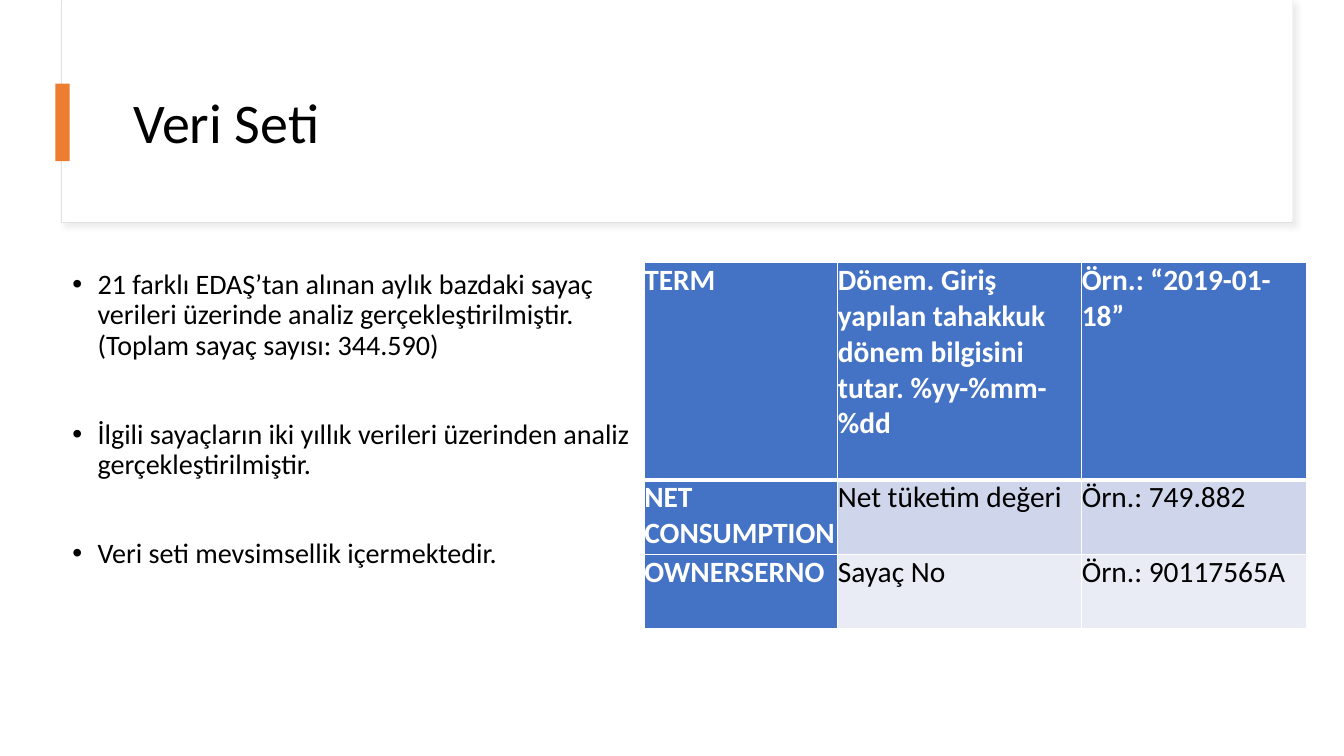
from dataclasses import dataclass

from lxml import etree
from pptx import Presentation, util as u
from pptx.dml.color import RGBColor
from pptx.enum import shapes, text
from pptx.oxml import ns


@dataclass(frozen=True)
class Theme:
    font: str = "Calibri"
    black: str = "000000"
    white: str = "FFFFFF"
    frame: str = "E1E1E1"
    shadow: str = "D9D9D9"
    accent: str = "ED7D31"
    blue: str = "4472C4"
    bands: tuple = ("CFD5EA", "E9EBF5")
    title_size: float = 40
    body_size: float = 20.1
    table_size: float = 21


@dataclass(frozen=True)
class Box:
    left: float
    top: float
    width: float
    height: float

    def lengths(self):
        return [u.Inches(side) for side in (self.left, self.top, self.width, self.height)]

    def inner(self, left, top, width, height):
        return Box(self.left + left, self.top + top, width, height)


THEME = Theme()
BULLETS = [
    "21 farklı EDAŞ’tan alınan aylık bazdaki sayaç verileri üzerinde analiz "
    "gerçekleştirilmiştir. (Toplam sayaç sayısı: 344.590)",
    "İlgili sayaçların iki yıllık verileri üzerinden analiz gerçekleştirilmiştir.",
    "Veri seti mevsimsellik içermektedir.",
]
ROWS = [
    ["TERM", "Dönem. Giriş yapılan tahakkuk dönem bilgisini tutar. %yy-%mm-%dd",
     "Örn.: “2019-01-18”"],
    ["NET\nCONSUMPTION", "Net tüketim değeri", "Örn.: 749.882"],
    ["OWNERSERNO", "Sayaç No", "Örn.: 90117565A"],
]
COLUMN_WIDTHS = [1.92, 2.42, 2.23]
ROW_HEIGHTS = [2.16, 0.74, 0.74]


def add_xml(parent, tag, **attributes):
    return etree.SubElement(parent, ns.qn(tag), attributes)


def style_text(para, size, color, bold=False):
    for span in para.runs:
        span.font.name = THEME.font
        span.font.size = u.Pt(size)
        span.font.bold = bold
        span.font.color.rgb = RGBColor.from_string(color)


def add_rectangle(slide, box, fill, line=None):
    rectangle = slide.shapes.add_shape(shapes.MSO_SHAPE.RECTANGLE, *box.lengths())
    rectangle.shadow.inherit = False
    rectangle.fill.solid()
    rectangle.fill.fore_color.rgb = RGBColor.from_string(fill)
    if line:
        rectangle.line.color.rgb = RGBColor.from_string(line)
        rectangle.line.width = u.Pt(0.75)
    else:
        rectangle.line.fill.background()
    return rectangle


def add_shadow(shape):
    effects = shape._element.spPr.find(ns.qn("a:effectLst"))
    outer = add_xml(effects, "a:outerShdw", blurRad=str(u.Pt(4)), dist=str(u.Pt(3)),
                    dir="2700000", algn="tl", rotWithShape="0")
    color = add_xml(outer, "a:srgbClr", val=THEME.shadow)
    add_xml(color, "a:alpha", val="50000")


def build_header(slide, box):
    add_shadow(add_rectangle(slide, box, THEME.white, THEME.frame))
    add_rectangle(slide, box.inner(0.01, 0, 12.2, 2.2), THEME.white)

    title = slide.shapes.title
    slide.shapes._spTree.append(title._element)
    title.left, title.top, title.width, title.height = box.inner(0.61, 0.6, 11.12, 1.29).lengths()
    frame = title.text_frame
    frame.text = "Veri Seti"
    frame.word_wrap = True
    frame.vertical_anchor = text.MSO_ANCHOR.MIDDLE
    para = frame.paragraphs[0]
    para.alignment = text.PP_ALIGN.LEFT
    para.line_spacing = 0.9
    style_text(para, THEME.title_size, THEME.black)

    add_rectangle(slide, box.inner(-0.06, 0.83, 0.14, 0.77), THEME.accent)


def build_bullets(slide, box):
    frame = slide.shapes.add_textbox(*box.lengths()).text_frame
    frame.word_wrap = True
    frame.text = "\n".join(BULLETS)
    for index, para in enumerate(frame.paragraphs):
        para.line_spacing = 0.9
        para.space_before = u.Pt(42 if index else 0)
        style_text(para, THEME.body_size, THEME.black)
        properties = para._p.get_or_add_pPr()
        properties.set("marL", str(u.Inches(0.25)))
        properties.set("indent", str(u.Inches(-0.25)))
        add_xml(properties, "a:buFont", typeface="Arial")
        add_xml(properties, "a:buChar", char="•")


def set_borders(cell, widths):
    properties = cell._tc.get_or_add_tcPr()
    for position, (side, width) in enumerate(widths.items()):
        line = add_xml(properties, f"a:ln{side}", w=str(u.Pt(width)))
        add_xml(add_xml(line, "a:solidFill"), "a:srgbClr", val=THEME.white)
        properties.insert(position, line)


def build_table(slide, box):
    table = slide.shapes.add_table(len(ROWS), len(COLUMN_WIDTHS), *box.lengths()).table
    for column, width in zip(table.columns, COLUMN_WIDTHS):
        column.width = u.Inches(width)
    for row, height in zip(table.rows, ROW_HEIGHTS):
        row.height = u.Inches(height)
    for r, values in enumerate(ROWS):
        for c, value in enumerate(values):
            heading = r == 0 or c == 0
            cell = table.cell(r, c)
            cell.margin_left = cell.margin_right = cell.margin_top = cell.margin_bottom = 0
            cell.text_frame.text = value
            for para in cell.text_frame.paragraphs:
                style_text(para, THEME.table_size, THEME.white if heading else THEME.black, heading)
            cell.fill.solid()
            fill = THEME.blue if heading else THEME.bands[r - 1]
            cell.fill.fore_color.rgb = RGBColor.from_string(fill)
            set_borders(cell, {"L": 1, "R": 1, "T": 3 if r == 1 else 1, "B": 3 if r == 0 else 1})


def main():
    deck = Presentation()
    deck.slide_width, deck.slide_height = u.Inches(13.33), u.Inches(7.5)
    slide = deck.slides.add_slide(deck.slide_layouts[5])
    build_header(slide, Box(0.61, 0, 12.21, 2.21))
    build_bullets(slide, Box(0.62, 2.63, 5.94, 3.76))
    build_table(slide, Box(6.39, 2.6, sum(COLUMN_WIDTHS), sum(ROW_HEIGHTS)))
    deck.save("out.pptx")


if __name__ == "__main__":
    main()
